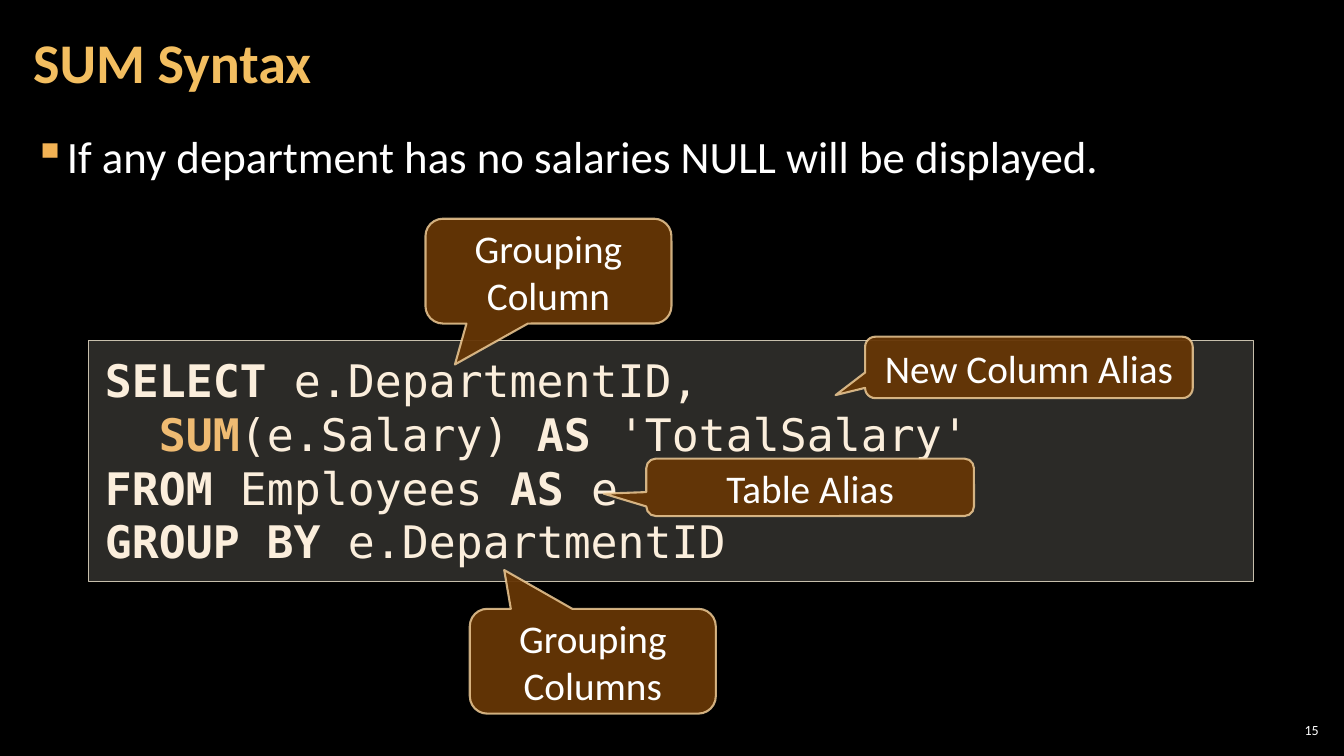
from dataclasses import dataclass

from pptx import Presentation
from pptx import util as u
from pptx.dml.color import RGBColor
from pptx.enum import shapes, text
from pptx.oxml import ns, xmlchemy


@dataclass(frozen=True)
class Theme:
    background: str = "000000"
    body: str = "FFFFFF"
    title: str = "F3BE60"
    bullet: str = "F2B254"
    code: str = "FBEEDC"
    keyword: str = "EFBB72"
    panel: str = "D9D5C7"
    panel_line: str = "C7BFAC"
    callout: str = "663606"
    callout_line: str = "F8D49E"
    font: str = "Calibri"
    mono: str = "DejaVu Sans Mono"
    title_size: int = 40
    body_size: int = 32
    callout_size: int = 28
    number_size: int = 10


THEME = Theme()

CODE = [
    [
        [("SELECT", True), (" e.DepartmentID, ", False)],
        [("  ", False), ("SUM", True), ("(e.Salary) ", False), ("AS", True),
         (" 'TotalSalary'", False)],
    ],
    [[("FROM", True), (" Employees ", False), ("AS", True), (" e", False)]],
    [[("GROUP BY ", True), ("e.DepartmentID", False)]],
]

CALLOUTS = [
    ("Grouping Column", (4.22, 2.17, 2.44, 1.04), (-0.38, 0.89)),
    ("Grouping Columns", (4.66, 6.04, 2.44, 1.04), (-0.36, -0.87)),
    ("Table Alias", (6.41, 4.55, 3.25, 0.57), (-0.63, 0.11)),
    ("New Column Alias", (8.58, 3.34, 3.25, 0.61), (-0.59, 0.45)),
]


def inches(values):
    return [u.Inches(v) for v in values]


def style(font, name, size, color, bold=False):
    font.name = name
    font.size = u.Pt(size)
    font.bold = bold
    font.color.rgb = RGBColor.from_string(color)


def set_frame(tf, insets, anchor):
    tf.word_wrap = True
    tf.vertical_anchor = anchor
    tf.margin_left, tf.margin_top, tf.margin_right, tf.margin_bottom = inches(insets)


def set_alpha(color_format_parent, percent):
    color = color_format_parent.find(".//" + ns.qn("a:srgbClr"))
    alpha = xmlchemy.OxmlElement("a:alpha")
    alpha.set("val", str(percent * 1000))
    color.append(alpha)


def add_text(slide, content, box, size, color, insets=(0.12, 0.04, 0.12, 0.04),
             anchor=text.MSO_ANCHOR.TOP, bold=False):
    sp = slide.shapes.add_textbox(*inches(box))
    tf = sp.text_frame
    tf.text = content
    set_frame(tf, insets, anchor)
    p = tf.paragraphs[0]
    style(p.runs[0].font, THEME.font, size, color, bold)
    return p


def add_bullet(p):
    pPr = p._p.get_or_add_pPr()
    pPr.set("marL", str(u.Inches(0.33)))
    pPr.set("indent", str(u.Inches(-0.33)))
    color = xmlchemy.OxmlElement("a:buClr")
    rgb = xmlchemy.OxmlElement("a:srgbClr")
    rgb.set("val", THEME.bullet)
    color.append(rgb)
    mark = xmlchemy.OxmlElement("a:buChar")
    mark.set("char", "▪")
    pPr.extend([color, mark])


def add_panel(slide, preset, box, fill, fill_alpha, line, width):
    sp = slide.shapes.add_shape(preset, *inches(box))
    sp.shadow.inherit = False
    sp.fill.solid()
    sp.fill.fore_color.rgb = RGBColor.from_string(fill)
    set_alpha(sp._element.spPr.find(ns.qn("a:solidFill")), fill_alpha)
    sp.line.color.rgb = RGBColor.from_string(line)
    sp.line.width = u.Pt(width)
    return sp


def add_code(slide, paragraphs, box):
    sp = add_panel(slide, shapes.MSO_SHAPE.RECTANGLE, box,
                   THEME.panel, 20, THEME.panel_line, 1)
    tf = sp.text_frame
    set_frame(tf, (0.16, 0.12, 0.16, 0.12), text.MSO_ANCHOR.TOP)
    for i, lines in enumerate(paragraphs):
        p = tf.add_paragraph() if i else tf.paragraphs[0]
        p.alignment = text.PP_ALIGN.LEFT
        for j, line in enumerate(lines):
            if j:
                p.add_line_break()
            for content, bold in line:
                r = p.add_run()
                r.text = content
                color = THEME.keyword if content == "SUM" else THEME.code
                style(r.font, THEME.mono, THEME.body_size, color, bold)


def add_callout(slide, content, box, tip):
    sp = add_panel(slide, shapes.MSO_SHAPE.ROUNDED_RECTANGULAR_CALLOUT, box,
                   THEME.callout, 95, THEME.callout_line, 1.5)
    set_alpha(sp.line._ln, 80)
    sp.adjustments[0], sp.adjustments[1] = tip
    tf = sp.text_frame
    tf.text = content
    set_frame(tf, (0.1, 0.05, 0.1, 0.05), text.MSO_ANCHOR.MIDDLE)
    p = tf.paragraphs[0]
    p.alignment = text.PP_ALIGN.CENTER
    style(p.runs[0].font, THEME.font, THEME.callout_size, THEME.body)


def main():
    prs = Presentation()
    prs.slide_width, prs.slide_height = inches((13.33, 7.5))
    slide = prs.slides.add_slide(prs.slide_layouts[6])
    slide.background.fill.solid()
    slide.background.fill.fore_color.rgb = RGBColor.from_string(THEME.background)

    p = add_text(slide, "If any department has no salaries NULL will be displayed.",
                 (0.21, 1.24, 12.91, 6.09), THEME.body_size, THEME.body)
    p.space_after = u.Pt(6)
    add_bullet(p)
    add_code(slide, CODE, (0.88, 3.38, 11.55, 2.39))
    p = add_text(slide, "15", (12.65, 7.14, 0.47, 0.21), THEME.number_size, THEME.body,
                 (0.04,) * 4, text.MSO_ANCHOR.MIDDLE)
    p.alignment = text.PP_ALIGN.RIGHT
    p = add_text(slide, "SUM Syntax", (0.21, 0.04, 10.47, 1.21), THEME.title_size,
                 THEME.title, anchor=text.MSO_ANCHOR.MIDDLE, bold=True)
    p.line_spacing = 0.9
    for content, box, tip in CALLOUTS:
        add_callout(slide, content, box, tip)
    prs.save("out.pptx")


if __name__ == "__main__":
    main()
